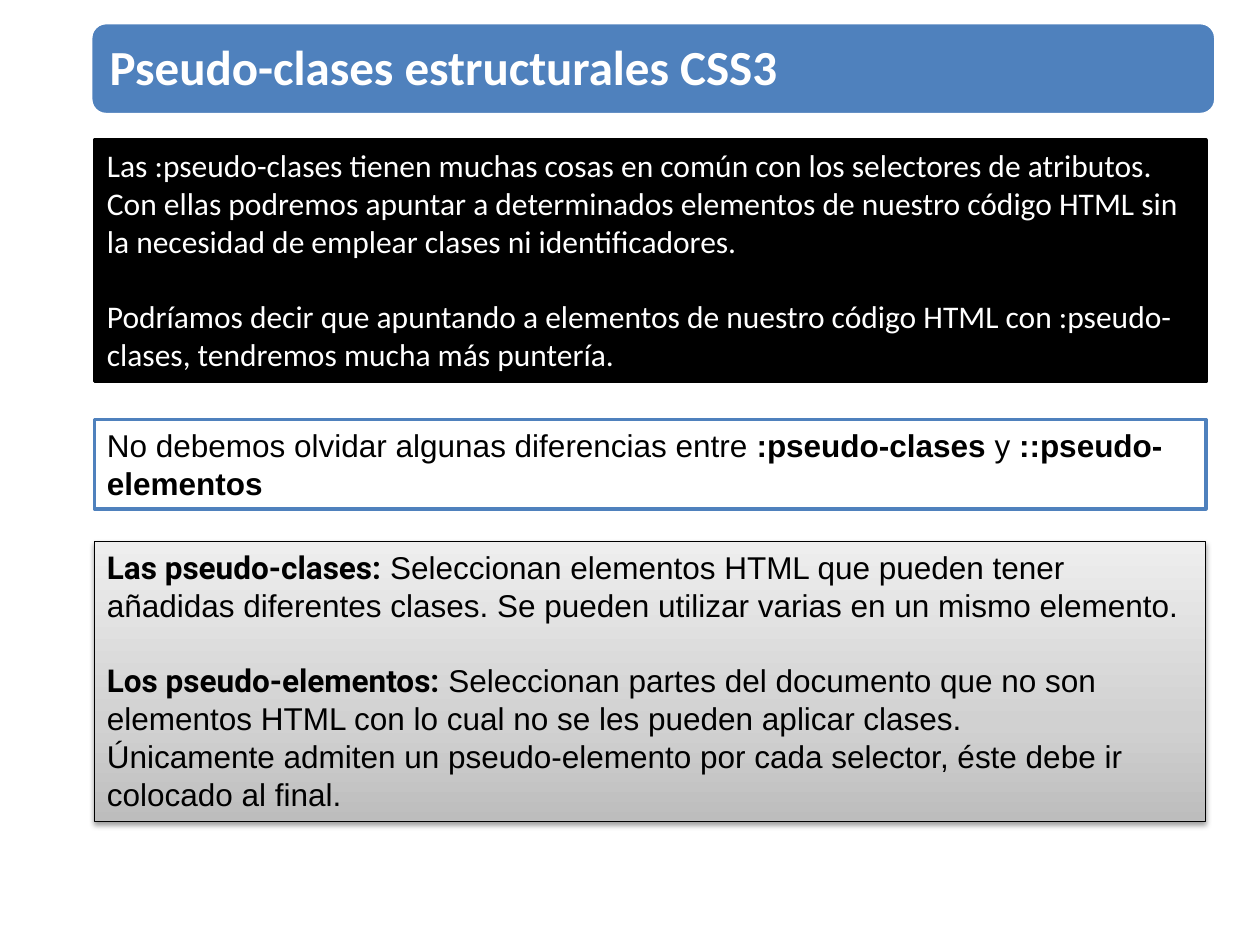
from copy import deepcopy

from lxml import etree
from pptx import Presentation
from pptx.dml.color import RGBColor
from pptx.enum.shapes import MSO_SHAPE as Geo
from pptx.enum.text import MSO_ANCHOR as Anchor, MSO_AUTO_SIZE as Fit, PP_ALIGN as Align
from pptx.oxml.ns import qn
from pptx.util import Inches, Pt

BLUE, BLACK, WHITE = "4F81BD", "000000", "FFFFFF"
LEFT, WIDTH = 0.75, 8.82
GAP = 21.6

INTRO = [
    [("Las :pseudo-clases tienen muchas cosas en común con los selectores de atributos. "
      "Con ellas podremos apuntar a determinados elementos de nuestro código HTML sin "
      "la necesidad de emplear clases ni identificadores.", "Calibri", False)],
    [("Podríamos decir que apuntando a elementos de nuestro código HTML con "
      ":pseudo-clases, tendremos mucha más puntería.", "Calibri", False)],
]
NOTE = [
    [("No debemos olvidar algunas diferencias entre ", "Arial", False),
     (":pseudo-clases", "Arial", True),
     (" y ", "Arial", False),
     ("::pseudo-elementos", "Arial", True)],
]
TERMS = [
    [("Las pseudo-clases:", "Roboto", True),
     (" Seleccionan elementos HTML que pueden tener añadidas diferentes clases. "
      "Se pueden utilizar varias en un mismo elemento.", "Arial", False)],
    [("Los pseudo-elementos:", "Roboto", True),
     (" Seleccionan partes del documento que no son elementos HTML con lo cual "
      "no se les pueden aplicar clases.", "Arial", False)],
    [("Únicamente admiten un pseudo-elemento por cada selector, éste debe ir "
      "colocado al final.", "Arial", False)],
]


def color(code):
    return RGBColor.from_string(code)


def style(font, name, size, ink, bold):
    font.name, font.size, font.bold = name, Pt(size), bold
    font.color.rgb = color(ink)


def add_box(slide, geo, area, fill, line, weight):
    box = slide.shapes.add_shape(geo, *map(Inches, area))
    box.shadow.inherit = False
    box.fill.solid()
    box.fill.fore_color.rgb = color(fill)
    box.line.color.rgb = color(line)
    box.line.width = Pt(weight)
    return box


def add_title(slide, text):
    bar = add_box(slide, Geo.ROUNDED_RECTANGLE, (0.72, 0.18, 8.93, 0.73), BLUE, WHITE, 2)
    title = slide.shapes.title
    bar.element.addnext(title.element)
    title.left, title.top, title.width, title.height = map(Inches, (0.75, 0.22, 8.86, 0.66))
    frame = title.text_frame
    frame.text = text
    frame.auto_size, frame.word_wrap = Fit.NONE, True
    frame.vertical_anchor = Anchor.MIDDLE
    frame.margin_left = frame.margin_right = Inches(0.12)
    frame.margin_top = frame.margin_bottom = Inches(0.12)
    para = frame.paragraphs[0]
    para.alignment, para.line_spacing = Align.LEFT, 0.9
    style(para.runs[0].font, "Calibri", 28, WHITE, True)


def add_panel(slide, top, height, paras, ink, fill, line, weight=2, gaps=()):
    box = add_box(slide, Geo.RECTANGLE, (LEFT, top, WIDTH, height), fill, line, weight)
    frame = box.text_frame
    frame.word_wrap, frame.auto_size = True, Fit.SHAPE_TO_FIT_TEXT
    frame.vertical_anchor = Anchor.TOP
    for i, parts in enumerate(paras):
        para = frame.add_paragraph() if i else frame.paragraphs[0]
        para.alignment = Align.LEFT
        if i in gaps:
            para.space_before = Pt(GAP)
        for text, name, bold in parts:
            run = para.add_run()
            run.text = text
            style(run.font, name, 18, ink, bold)
    return box


def shade(box, stops):
    box.fill.gradient()
    box.fill.gradient_angle = 90
    last = box.element.spPr.findall(".//" + qn("a:gs"))[-1]
    last.addnext(deepcopy(last))
    for stop, (place, code) in zip(box.fill.gradient_stops, stops):
        stop.position = place
        stop.color.rgb = color(code)


def cast(box, blur, dist, alpha):
    host = box.element.spPr.find(qn("a:effectLst"))
    drop = etree.SubElement(host, qn("a:outerShdw"), blurRad=str(Pt(blur)),
                            dist=str(Pt(dist)), dir="5400000", rotWithShape="0")
    tint = etree.SubElement(drop, qn("a:srgbClr"), val=BLACK)
    etree.SubElement(tint, qn("a:alpha"), val=str(alpha * 1000))


def main():
    deck = Presentation()
    deck.slide_width, deck.slide_height = Inches(10), Inches(7.5)
    slide = deck.slides.add_slide(deck.slide_layouts[5])
    add_title(slide, "Pseudo-clases estructurales CSS3")
    add_panel(slide, 1.11, 1.92, INTRO, WHITE, BLACK, BLACK, gaps=(1,))
    add_panel(slide, 3.33, 0.71, NOTE, BLACK, WHITE, BLUE)
    terms = add_panel(slide, 4.3, 2.22, TERMS, BLACK, WHITE, BLACK, 0.75, gaps=(1,))
    shade(terms, [(0, "BDBDBD"), (0.35, "D1D1D1"), (1, "EEEEEE")])
    cast(terms, 3.1, 1.6, 38)
    deck.save("out.pptx")


if __name__ == "__main__":
    main()
